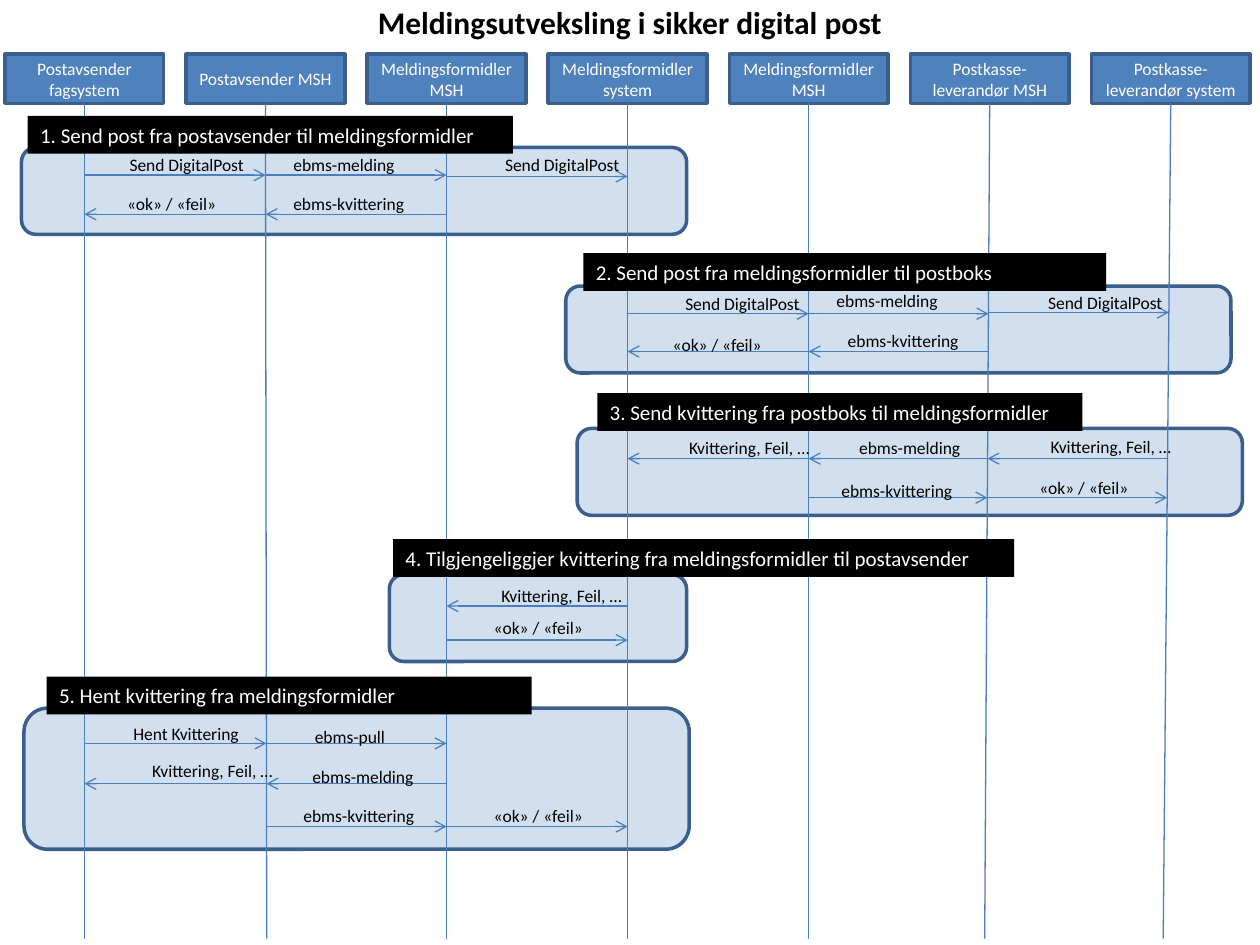
import pptx
import pptx.util
import pptx.dml.color
import pptx.enum.shapes
import pptx.enum.text
import pptx.oxml.ns
from lxml import etree

Inches, Pt = pptx.util.Inches, pptx.util.Pt
SHAPE = pptx.enum.shapes.MSO_SHAPE
ANCHOR = pptx.enum.text.MSO_ANCHOR
ALIGN = pptx.enum.text.PP_ALIGN
qn = pptx.oxml.ns.qn

COLORS = {"blue": "4F81BD", "border": "3A5F8C", "line": "4B7EBC",
          "black": "000000", "white": "FFFFFF"}
FONT = "Calibri"
SLIDE_W, SLIDE_H = 10, 7.5

LANE_X, LANE_STEP = 0.67, 1.437
HEAD_TOP, HEAD_W, HEAD_H = 0.43, 1.26, 0.39
LIFE_TOP, LIFE_END = HEAD_TOP + HEAD_H, 7.45
LABEL_H, CAPTION_H = 0.27, 0.3

# Participant and how far its lifeline leans at the foot
LANES = [
    ("Postavsender fagsystem", 0),
    ("Postavsender MSH", 0.01),
    ("Meldingsformidler MSH", 0),
    ("Meldingsformidler system", 0),
    ("Meldingsformidler MSH", 0),
    ("Postkasse-leverandør MSH", -0.04),
    ("Postkasse-leverandør system", -0.06),
]

POST, MELDING, KVITT = "Send DigitalPost", "ebms-melding", "ebms-kvittering"
STATUS, RECEIPT = "«ok» / «feil»", "Kvittering, Feil, …"
PULL, FETCH = "ebms-pull", "Hent Kvittering"
LABEL_W = {POST: 1.12, MELDING: 1.01, KVITT: 1.1, STATUS: 0.92,
           RECEIPT: 1.18, PULL: 0.76, FETCH: 1.07}

# Caption (text, left, top, width), panel (left, top, width, height) and
# messages (from lane, to lane, y, text, label left, label top)
PHASES = [
    (("1. Send post fra postavsender til meldingsformidler", 0.22, 0.92, 3.85),
     (0.17, 1.17, 5.28, 0.69),
     [(0, 1, 1.39, POST, 0.93, 1.17),
      (1, 2, 1.39, MELDING, 2.23, 1.17),
      (2, 3, 1.4, POST, 3.91, 1.17),
      (2, 1, 1.7, KVITT, 2.23, 1.48),
      (1, 0, 1.7, STATUS, 0.91, 1.48)]),
    (("2. Send post fra meldingsformidler til postboks", 4.63, 2.01, 4.15),
     (4.49, 2.27, 5.28, 0.69),
     [(3, 4, 2.49, POST, 5.34, 2.28),
      (4, 5, 2.49, MELDING, 6.54, 2.25),
      (5, 6, 2.48, POST, 8.22, 2.27),
      (5, 4, 2.79, KVITT, 6.63, 2.57),
      (4, 3, 2.79, STATUS, 5.24, 2.6)]),
    (("3. Send kvittering fra postboks til meldingsformidler", 4.74, 3.12, 3.85),
     (4.58, 3.4, 5.28, 0.69),
     [(6, 5, 3.64, RECEIPT, 8.24, 3.41),
      (5, 4, 3.64, MELDING, 6.72, 3.42),
      (4, 3, 3.64, RECEIPT, 5.37, 3.42),
      (4, 5, 3.95, KVITT, 6.58, 3.76),
      (5, 6, 3.95, STATUS, 8.15, 3.74)]),
    (("4. Tilgjengeliggjer kvittering fra meldingsformidler til postavsender",
      3.12, 4.28, 4.93),
     (3.09, 4.56, 2.36, 0.69),
     [(3, 2, 4.81, RECEIPT, 3.88, 4.59),
      (2, 3, 5.08, STATUS, 3.82, 4.85)]),
    (("5. Hent kvittering fra meldingsformidler", 0.37, 5.37, 3.85),
     (0.19, 5.62, 5.28, 1.12),
     [(0, 1, 5.9, FETCH, 0.96, 5.69),
      (1, 2, 5.9, PULL, 2.4, 5.71),
      (2, 1, 6.22, MELDING, 2.38, 6.03),
      (1, 0, 6.22, RECEIPT, 1.11, 5.98),
      (1, 2, 6.56, KVITT, 2.31, 6.34),
      (2, 3, 6.56, STATUS, 3.82, 6.34)]),
]


def rgb(name):
    return pptx.dml.color.RGBColor.from_string(COLORS[name])


def lane_x(lane, y=LIFE_TOP):
    """Where a leaning lifeline is at height y."""
    lean = LANES[lane][1] * (y - LIFE_TOP) / (LIFE_END - LIFE_TOP)
    return LANE_X + lane * LANE_STEP + lean


def set_text(shape, text, size, color, align=ALIGN.LEFT, bold=False):
    tf = shape.text_frame
    tf.text = text
    p = tf.paragraphs[0]
    p.alignment = align
    p.font.name, p.font.size, p.font.bold = FONT, Pt(size), bold
    p.font.color.rgb = rgb(color)
    return tf


def add_box(s, kind, box, fill, border=None):
    sp = s.shapes.add_shape(kind, *map(Inches, box))
    sp.shadow.inherit = False
    sp.fill.solid()
    sp.fill.fore_color.rgb = rgb(fill)
    if border:
        sp.line.color.rgb = rgb(border)
        sp.line.width = Pt(2)
    else:
        sp.line.fill.background()
    return sp


def add_panel(s, box):
    sp = add_box(s, SHAPE.ROUNDED_RECTANGLE, box, "blue", "border")
    color = sp.fill._xPr.find(qn("a:solidFill"))[0]
    etree.SubElement(color, qn("a:alpha"), val="25000")


def add_line(s, x1, y1, x2, y2, arrow=False):
    c = s.shapes.add_connector(pptx.enum.shapes.MSO_CONNECTOR.STRAIGHT,
                               *map(Inches, (x1, y1, x2, y2)))
    c.line.color.rgb = rgb("line")
    c.line.width = Pt(0.75)
    if arrow:
        etree.SubElement(c.line._get_or_add_ln(), qn("a:tailEnd"), type="arrow")
    etree.SubElement(c._element.spPr, qn("a:effectLst"))
    return c


def add_lane(s, lane):
    x = lane_x(lane)
    head = add_box(s, SHAPE.RECTANGLE,
                   (x - HEAD_W / 2, HEAD_TOP, HEAD_W, HEAD_H), "blue", "border")
    tf = set_text(head, LANES[lane][0], 10, "white", ALIGN.CENTER)
    tf.vertical_anchor = ANCHOR.MIDDLE
    life = add_line(s, x, LIFE_TOP, lane_x(lane, LIFE_END), LIFE_END)
    life.begin_connect(head, 2)


def add_message(s, start, end, y, text, left, top):
    add_line(s, lane_x(start, y), y, lane_x(end, y), y, arrow=True)
    box = (left, top, LABEL_W[text], LABEL_H)
    tb = s.shapes.add_textbox(*map(Inches, box))
    tf = set_text(tb, text, 10, "black")
    tf.word_wrap = False
    tf.auto_size = pptx.enum.text.MSO_AUTO_SIZE.SHAPE_TO_FIT_TEXT


def add_caption(s, text, left, top, width):
    sp = add_box(s, SHAPE.RECTANGLE, (left, top, width, CAPTION_H), "black")
    tf = set_text(sp, text, 12, "white")
    tf.vertical_anchor = ANCHOR.TOP


def set_title(s, text):
    title = s.shapes.title
    title.left, title.top = 0, Inches(-0.03)
    title.width, title.height = Inches(SLIDE_W), Inches(0.4)
    tf = set_text(title, text, 18, "black", ALIGN.CENTER, bold=True)
    tf.vertical_anchor = ANCHOR.TOP
    tf.auto_size = pptx.enum.text.MSO_AUTO_SIZE.NONE


def main():
    prs = pptx.Presentation()
    prs.slide_width, prs.slide_height = Inches(SLIDE_W), Inches(SLIDE_H)
    s = prs.slides.add_slide(prs.slide_layouts[5])
    set_title(s, "Meldingsutveksling i sikker digital post")
    for _, panel, _ in PHASES:
        add_panel(s, panel)
    for lane in range(len(LANES)):
        add_lane(s, lane)
    for caption, _, messages in PHASES:
        for message in messages:
            add_message(s, *message)
        add_caption(s, *caption)
    prs.save("out.pptx")


if __name__ == "__main__":
    main()
